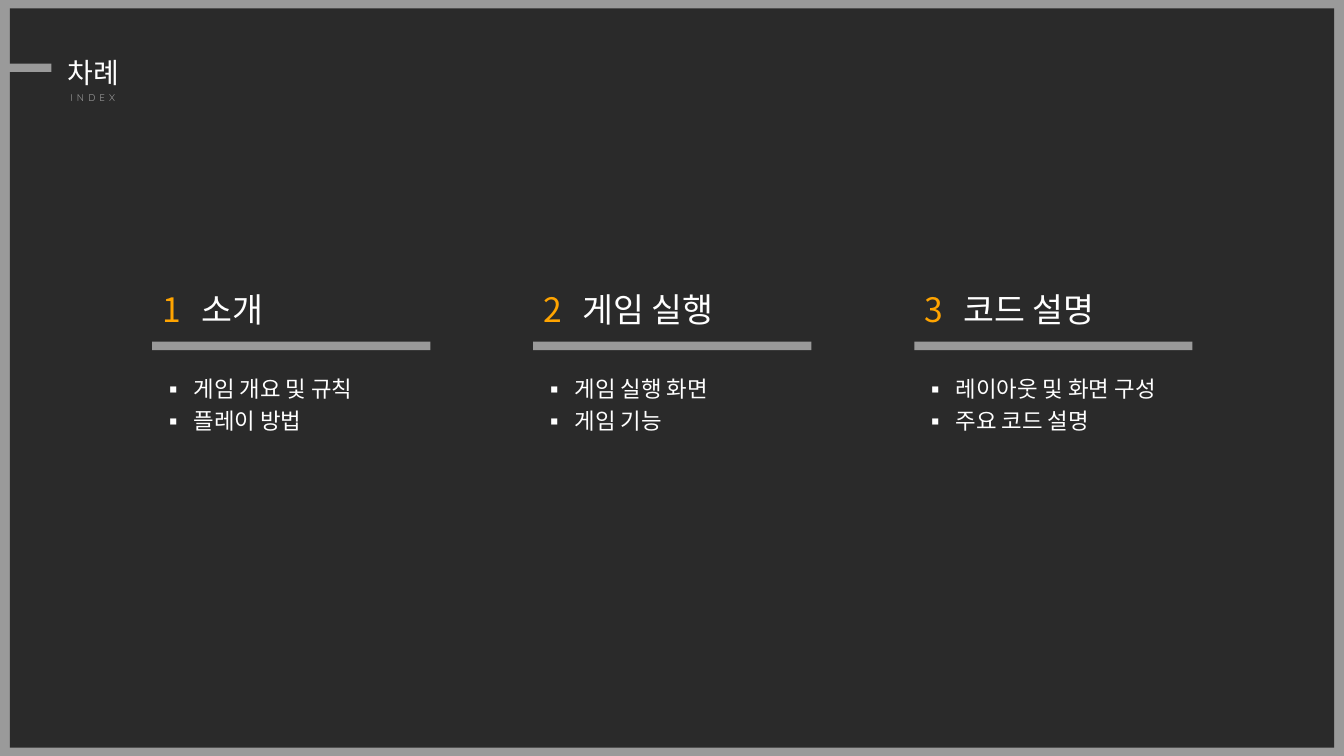
from lxml import etree
from pptx import Presentation
from pptx.dml.color import RGBColor
from pptx.enum.shapes import MSO_SHAPE
from pptx.enum.text import MSO_ANCHOR, MSO_AUTO_SIZE, PP_ALIGN
from pptx.oxml.ns import qn
from pptx.util import Pt

RECTANGLE = MSO_SHAPE.RECTANGLE
TOP = MSO_ANCHOR.TOP
NO_AUTOFIT = MSO_AUTO_SIZE.NONE
LEFT = PP_ALIGN.LEFT

COLORS = {"gray": "9A9A9A", "dark": "2A2A2A", "white": "FFFFFF", "orange": "FFA400"}
KOREAN = "Noto Sans CJK KR"
LATIN = "Quicksand"

COLUMN_LEFT, COLUMN_STEP, COLUMN_WIDTH = 108.7, 272.2, 198.7
HEADING_TAB = 28
BULLET_INDENT = 22.5

CHAPTERS = [
    ("소개", ["게임 개요 및 규칙", "플레이 방법"]),
    ("게임 실행", ["게임 실행 화면", "게임 기능"]),
    ("코드 설명", ["레이아웃 및 화면 구성", "주요 코드 설명"]),
]


def color(name):
    return RGBColor.from_string(COLORS[name])


def apply_format(target, values):
    for name, value in values.items():
        setattr(target, name, value)


def place(shape, left, top, width, height):
    apply_format(shape, {"left": Pt(left), "top": Pt(top),
                         "width": Pt(width), "height": Pt(height)})


def add_bar(slide, left, top, width, height, fill="gray"):
    bar = slide.shapes.add_shape(RECTANGLE, Pt(left), Pt(top), Pt(width), Pt(height))
    bar.shadow.inherit = False
    bar.fill.solid()
    bar.fill.fore_color.rgb = color(fill)
    bar.line.fill.background()
    return bar


def prepare_frame(shape, wrap):
    frame = shape.text_frame
    apply_format(frame, {"word_wrap": wrap, "auto_size": NO_AUTOFIT,
                         "vertical_anchor": TOP})
    return frame


def add_text_box(slide, left, top, width, height, wrap=True):
    box = slide.shapes.add_textbox(Pt(left), Pt(top), Pt(width), Pt(height))
    return prepare_frame(box, wrap)


def add_run(paragraph, text, size, color_name="white", typeface=KOREAN):
    run = paragraph.add_run()
    run.text = text
    apply_format(run.font, {"size": Pt(size), "name": typeface})
    run.font.color.rgb = color(color_name)
    properties = run.font._element
    etree.SubElement(properties, qn("a:ea"), typeface=typeface)
    return properties


def add_title(slide):
    title = slide.shapes.title
    place(title, 41, 36, 54, 31.7)
    paragraph = prepare_frame(title, False).paragraphs[0]
    paragraph.alignment = LEFT
    add_run(paragraph, "차례", 20)


def add_subtitle(slide):
    frame = add_text_box(slide, 43.2, 61.9, 50.4, 15.8, wrap=False)
    properties = add_run(frame.paragraphs[0], "INDEX", 7, "gray", LATIN)
    properties.set("spc", "300")


def add_heading(slide, left, number, text):
    paragraph = add_text_box(slide, left, 203, COLUMN_WIDTH, 36).paragraphs[0]
    tabs = etree.SubElement(paragraph._p.get_or_add_pPr(), qn("a:tabLst"))
    etree.SubElement(tabs, qn("a:tab"), pos=str(Pt(HEADING_TAB)), algn="l")
    add_run(paragraph, f"{number}\t", 24, "orange")
    add_run(paragraph, text, 24)


def add_bullets(slide, left, items):
    frame = add_text_box(slide, left, 260.6, COLUMN_WIDTH, 54)
    for index, item in enumerate(items):
        paragraph = frame.add_paragraph() if index else frame.paragraphs[0]
        properties = paragraph._p.get_or_add_pPr()
        properties.set("marL", str(Pt(BULLET_INDENT)))
        properties.set("indent", str(-Pt(BULLET_INDENT)))
        etree.SubElement(properties, qn("a:buFont"), typeface=KOREAN)
        etree.SubElement(properties, qn("a:buChar"), char="▪")
        paragraph.line_spacing = 1.2
        add_run(paragraph, item, 16)


def add_backdrop(slide):
    slide.background.fill.solid()
    slide.background.fill.fore_color.rgb = color("gray")
    panel = add_bar(slide, 7, 6, 946, 528, "dark")
    slide.shapes._spTree.insert(2, panel._element)


def main():
    presentation = Presentation()
    presentation.slide_width = Pt(960)
    presentation.slide_height = Pt(540)
    slide = presentation.slides.add_slide(presentation.slide_layouts[5])
    add_backdrop(slide)
    add_title(slide)
    add_bar(slide, 3.6, 45.4, 33.1, 6)
    add_subtitle(slide)
    for index, (heading, items) in enumerate(CHAPTERS):
        left = COLUMN_LEFT + index * COLUMN_STEP
        add_heading(slide, left, index + 1, heading)
        add_bar(slide, left, 244.1, COLUMN_WIDTH, 6)
        add_bullets(slide, left, items)
    presentation.save("out.pptx")


if __name__ == "__main__":
    main()
